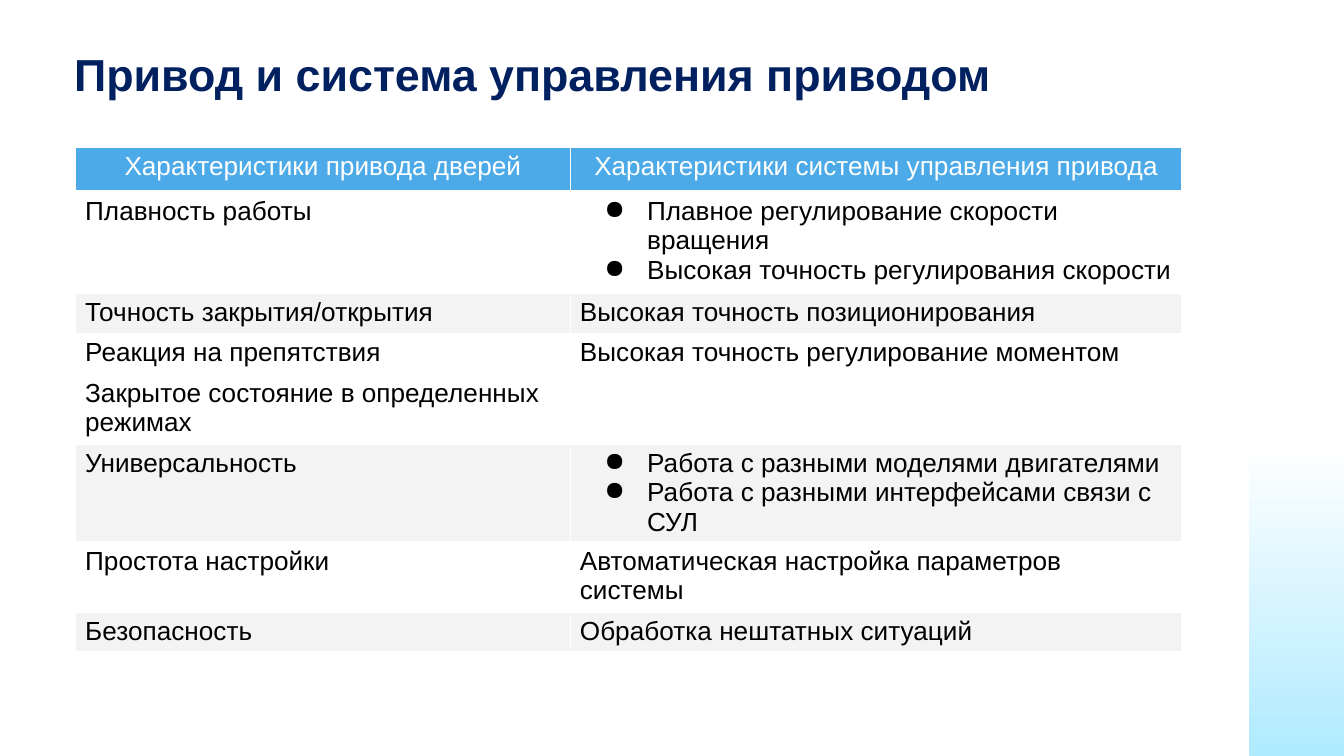
from lxml import etree
from pptx import Presentation
from pptx.dml.color import RGBColor
from pptx.enum import shapes, text
from pptx.oxml import ns
from pptx.util import Cm, Pt

TITLE = "Привод и система управления приводом"
HEADER = ("Характеристики привода дверей", "Характеристики системы управления привода")
# Row height in cm, fill, door drive, control system: a list is bulleted, None joins the cell above
ROWS = [
    (1.91, "FFFFFF", "Плавность работы",
     ["Плавное регулирование скорости вращения", "Высокая точность регулирования скорости"]),
    (0.76, "F3F3F3", "Точность закрытия/открытия", "Высокая точность позиционирования"),
    (0.76, "FFFFFF", "Реакция на препятствия", "Высокая точность регулирование моментом"),
    (1.33, "FFFFFF", "Закрытое состояние в определенных режимах", None),
    (1.83, "F3F3F3", "Универсальность",
     ["Работа с разными моделями двигателями", "Работа с разными интерфейсами связи с СУЛ"]),
    (1.33, "FFFFFF", "Простота настройки", "Автоматическая настройка параметров системы"),
    (0.76, "F3F3F3", "Безопасность", "Обработка нештатных ситуаций"),
]
HEADER_HEIGHT = 0.85
COLUMN_WIDTHS = (9.35, 11.56)
FONT = "Arial"


def color(value):
    return RGBColor.from_string(value)


def set_font(paragraph, size, value, bold=False):
    font = paragraph.font
    font.name, font.size, font.bold = FONT, Pt(size), bold
    font.color.rgb = color(value)


def set_insets(box):
    box.margin_left = box.margin_right = Cm(0.18)
    box.margin_top = box.margin_bottom = Cm(0.09)


def add_bullet(paragraph):
    properties = paragraph._p.get_or_add_pPr()
    properties.set("marL", str(Cm(1.27)))
    properties.set("indent", str(Cm(-0.81)))
    bullet_color = etree.SubElement(properties, ns.qn("a:buClr"))
    etree.SubElement(bullet_color, ns.qn("a:srgbClr"), val="000000")
    etree.SubElement(properties, ns.qn("a:buChar"), char="●")


def set_borders(cell, bottom):
    """Draw white borders, 1 pt wide except for the bottom one."""
    properties = cell._tc.get_or_add_tcPr()
    for index, (side, width) in enumerate((("L", 1), ("R", 1), ("T", 1), ("B", bottom))):
        line = etree.Element(ns.qn(f"a:ln{side}"), w=str(Pt(width)))
        fill = etree.SubElement(line, ns.qn("a:solidFill"))
        etree.SubElement(fill, ns.qn("a:srgbClr"), val="FFFFFF")
        properties.insert(index, line)


def fill_cell(cell, content, fill, is_header):
    cell.fill.solid()
    cell.fill.fore_color.rgb = color(fill)
    set_insets(cell)
    set_borders(cell, 3 if is_header else 1)
    if content is None:
        return
    bulleted = isinstance(content, list)
    cell.text = "\n".join(content) if bulleted else content
    for paragraph in cell.text_frame.paragraphs:
        if bulleted:
            add_bullet(paragraph)
        if is_header:
            paragraph.alignment = text.PP_ALIGN.CENTER
        set_font(paragraph, 14, "FFFFFF" if is_header else "000000")


def add_title(slide):
    title = slide.shapes.title
    title.left, title.top, title.width, title.height = Cm(1.22), Cm(0.79), Cm(21.54), Cm(0.84)
    frame = title.text_frame
    frame.text = TITLE
    frame.word_wrap = True
    frame.auto_size = text.MSO_AUTO_SIZE.NONE
    frame.vertical_anchor = text.MSO_ANCHOR.TOP
    set_insets(frame)
    paragraph = frame.paragraphs[0]
    paragraph.alignment = text.PP_ALIGN.LEFT
    set_font(paragraph, 24, "002060", bold=True)


def add_characteristics(slide):
    rows = [(HEADER_HEIGHT, "4DAAE8", *HEADER)] + ROWS
    table = slide.shapes.add_table(
        len(rows), len(COLUMN_WIDTHS), Cm(1.43), Cm(2.78),
        Cm(sum(COLUMN_WIDTHS)), Cm(sum(row[0] for row in rows))).table
    for column, width in zip(table.columns, COLUMN_WIDTHS):
        column.width = Cm(width)
    for row_index, (height, fill, *contents) in enumerate(rows):
        table.rows[row_index].height = Cm(height)
        for column_index, content in enumerate(contents):
            cell = table.cell(row_index, column_index)
            fill_cell(cell, content, fill, row_index == 0)
            if content is None:
                table.cell(row_index - 1, column_index).merge(cell)


def add_side_band(slide):
    """Add the band at the right edge, turned so that its gradient rises from the bottom."""
    band = slide.shapes.add_shape(
        shapes.MSO_SHAPE.ROUNDED_RECTANGLE, Cm(17.37), Cm(6.23), Cm(14.29), Cm(1.83))
    band.adjustments[0] = 0
    band.rotation = 270
    band.shadow.inherit = False
    band.line.fill.background()
    band.fill.gradient()
    band.fill.gradient_angle = 0
    for stop, (position, value) in zip(band.fill.gradient_stops, ((0, "AFEAFF"), (0.41, "FFFFFF"))):
        stop.position = position
        stop.color.rgb = color(value)


def main():
    presentation = Presentation()
    presentation.slide_width, presentation.slide_height = Cm(25.4), Cm(14.29)
    slide = presentation.slides.add_slide(presentation.slide_layouts[5])
    add_title(slide)
    add_characteristics(slide)
    add_side_band(slide)
    presentation.save("out.pptx")


if __name__ == "__main__":
    main()
